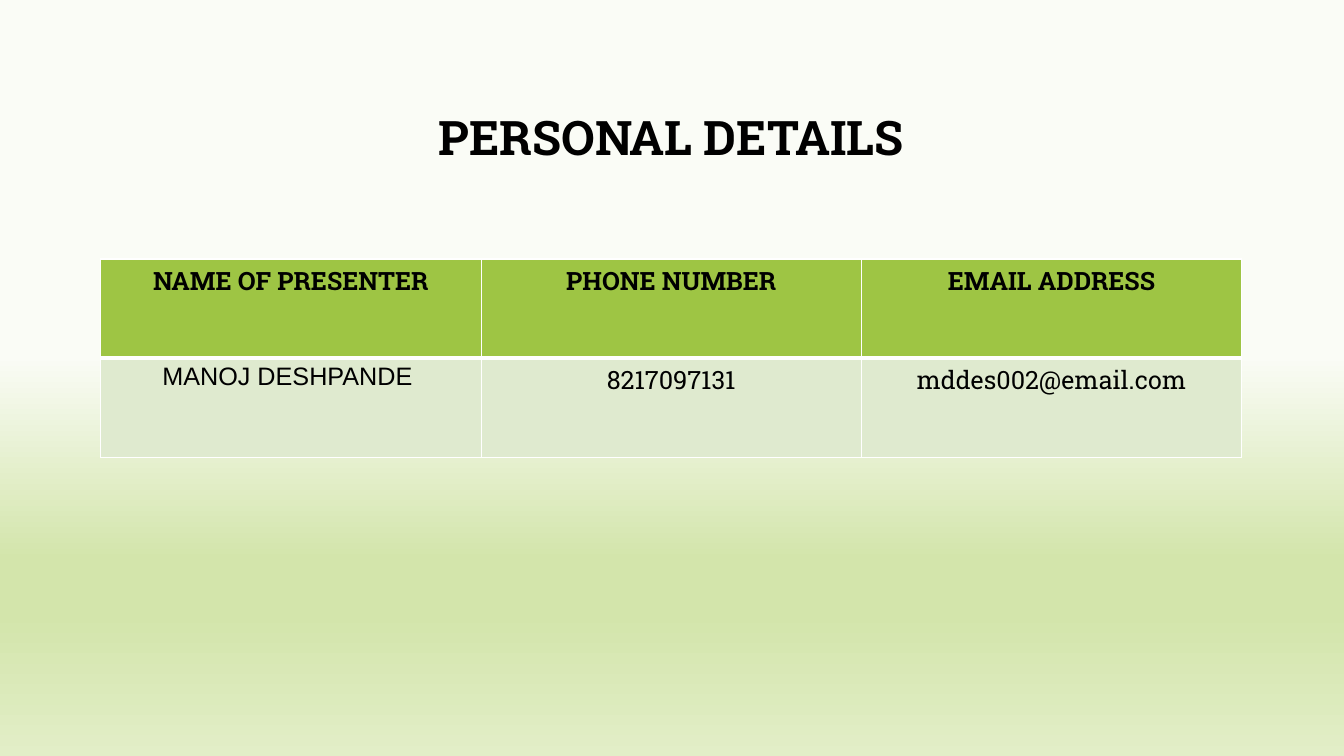
from dataclasses import dataclass

from lxml.etree import SubElement as Sub
from pptx import Presentation
from pptx.dml.color import RGBColor as RGB
from pptx.enum.text import MSO_ANCHOR as Anchor, PP_ALIGN as Align
from pptx.oxml.ns import qn
from pptx.util import Pt


@dataclass(frozen=True)
class Theme:
    ink: str = "000000"
    head: str = "9EC544"
    body: str = "DFEACF"
    edge: str = "FFFFFF"
    slab: str = "Roboto Slab"
    sans: str = "Arial"
    title: int = 34
    cell: int = 18
    thin: int = 1
    thick: int = 3
    stops: tuple = ((47, "FAFCF6"), (74, "D3E5AB"), (81, "D3E5AB"), (100, "E2EEC7"))


THEME = Theme()
LEFT, WIDTH = 72, 815
ROWS = (
    ("NAME OF PRESENTER", "PHONE NUMBER", "EMAIL ADDRESS"),
    ("MANOJ DESHPANDE ", "8217097131", "mddes002@email.com"),
)
TALL = (70.5, 71.3)


def assign(item, values):
    for name, value in values.items():
        setattr(item, name, value)


def write(frame, text, size, bold, face=THEME.slab):
    par = frame.paragraphs[0]
    par.alignment = Align.CENTER
    run = par.add_run()
    run.text = text
    assign(run.font, {"name": face, "size": Pt(size), "bold": bold})
    run.font.color.rgb = RGB.from_string(THEME.ink)
    return par


def paint(slide):
    fill = slide.background.fill
    fill.gradient()
    fill.gradient_angle = 270
    stops = slide.element.cSld.find(".//" + qn("a:gsLst"))
    stops.clear()
    for place, color in THEME.stops:
        stop = Sub(stops, qn("a:gs"), pos=str(place * 1000))
        Sub(stop, qn("a:srgbClr"), val=color)


def add_title(slide, text):
    title = slide.shapes.title
    assign(title, {"left": Pt(LEFT), "top": Pt(48), "width": Pt(WIDTH), "height": Pt(104.4)})
    title.text_frame.vertical_anchor = Anchor.MIDDLE
    par = write(title.text_frame, text, THEME.title, True)
    par.line_spacing = 0.9


def edge(cell, side, width):
    line = Sub(cell._tc.get_or_add_tcPr(), qn("a:ln" + side), w=str(Pt(width)))
    fill = Sub(line, qn("a:solidFill"))
    Sub(fill, qn("a:srgbClr"), val=THEME.edge)


def style(cell, head):
    widths = {side: THEME.thin for side in "LRTB"}
    widths["B" if head else "T"] = THEME.thick
    for side, width in widths.items():
        edge(cell, side, width)
    cell.fill.solid()
    cell.fill.fore_color.rgb = RGB.from_string(THEME.head if head else THEME.body)


def add_grid(slide, rows):
    count = len(rows[0])
    frame = slide.shapes.add_table(
        len(rows), count, Pt(LEFT), Pt(185), Pt(WIDTH), Pt(sum(TALL)))
    table = frame.table
    for col in table.columns:
        col.width = Pt(WIDTH / count)
    for r, (texts, height) in enumerate(zip(rows, TALL)):
        table.rows[r].height = Pt(height)
        head = r == 0
        for c, text in enumerate(texts):
            cell = table.cell(r, c)
            style(cell, head)
            face = THEME.sans if c == 0 and not head else THEME.slab
            write(cell.text_frame, text, THEME.cell, head, face)


def main():
    deck = Presentation()
    assign(deck, {"slide_width": Pt(960), "slide_height": Pt(540)})
    slide = deck.slides.add_slide(deck.slide_layouts[5])
    paint(slide)
    add_title(slide, "PERSONAL DETAILS")
    add_grid(slide, ROWS)
    deck.save("out.pptx")


if __name__ == "__main__":
    main()
